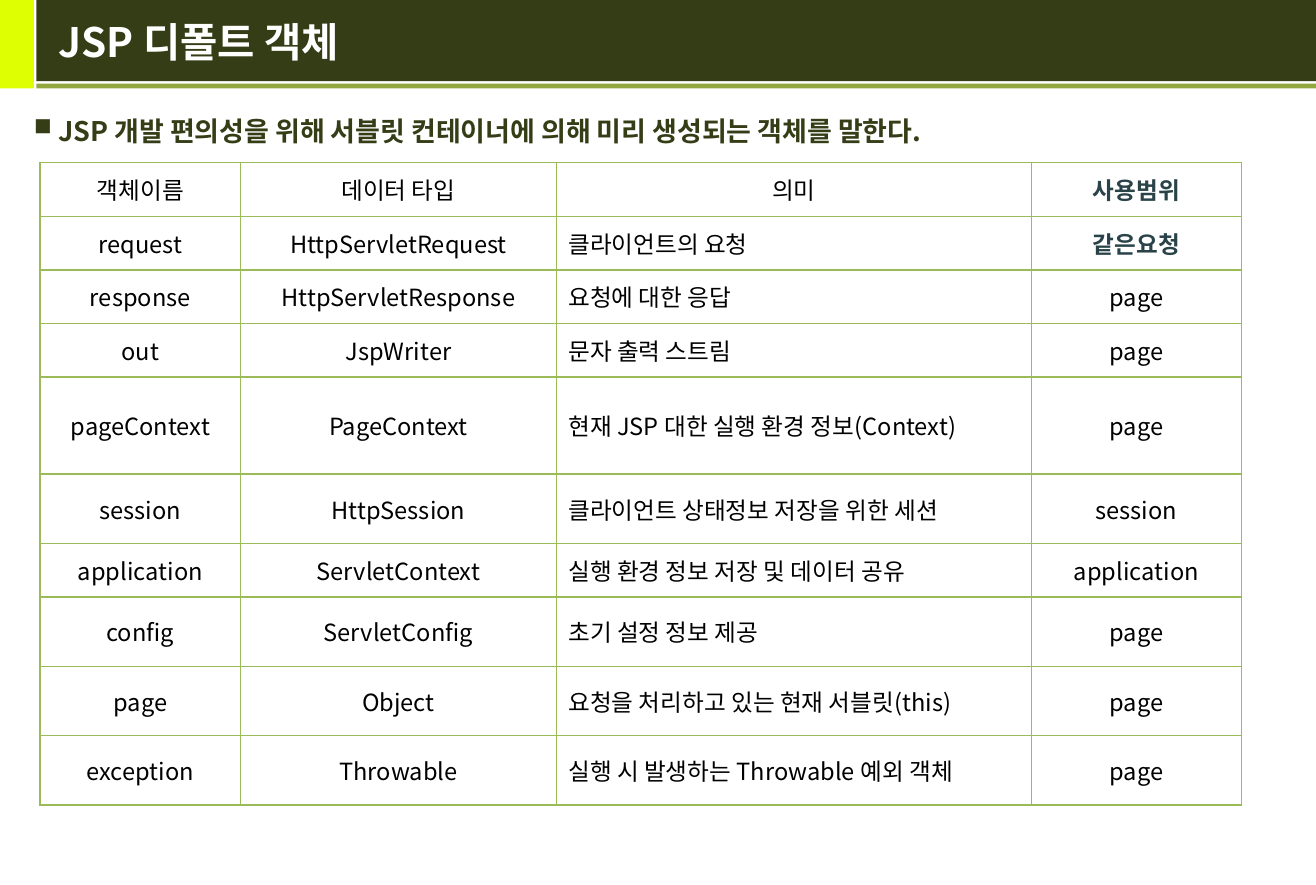
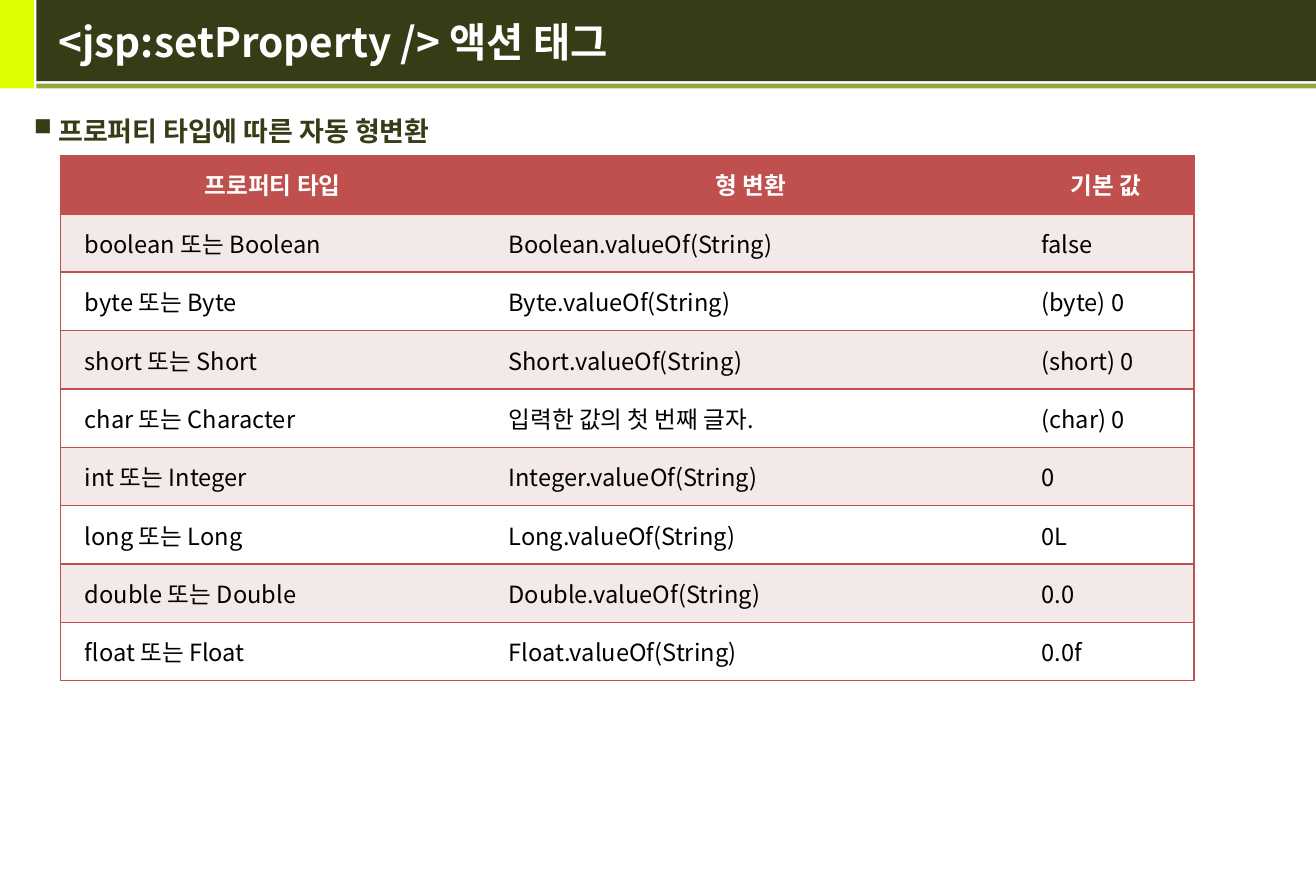
from lxml import etree
from pptx import Presentation
from pptx import util as u
from pptx.dml.color import RGBColor
from pptx.enum import shapes, text
from pptx.oxml.ns import qn

FONT = "Noto Sans CJK KR"
COLORS = {
    "lime": "DEFF02", "olive": "353D17", "moss": "93A73F", "green": "9BBB59",
    "red": "C0504D", "blush": "F4E9E9", "teal": "294349",
    "white": "FFFFFF", "black": "000000",
}
BANDS = [
    ("lime", 0, 0, 0.71, 1.85),
    ("olive", 0.76, 0, 26.75, 1.7),
    ("moss", 0.76, 1.75, 26.75, 0.1),
]
LEFT, CENTER, JUSTIFY = text.PP_ALIGN.LEFT, text.PP_ALIGN.CENTER, text.PP_ALIGN.JUSTIFY


def cm(*lengths):
    return [u.Cm(length) for length in lengths]


def rgb(color):
    return RGBColor.from_string(COLORS[color])


class Deck:
    def __init__(self):
        self.show = Presentation()
        self.show.slide_width, self.show.slide_height = cm(27.51, 18.5)
        self.slide = None

    def add_slide(self, title, statement):
        self.slide = self.show.slides.add_slide(self.show.slide_layouts[5])
        for band in BANDS:
            self.band(*band)
        self.title(title)
        self.bullet(statement)

    def band(self, color, *box):
        band = self.slide.shapes.add_shape(shapes.MSO_SHAPE.RECTANGLE, *cm(*box))
        band.shadow.inherit = False
        band.fill.solid()
        band.fill.fore_color.rgb = rgb(color)
        band.line.fill.background()

    def set_words(self, frame, words, size, color, bold=False, align=LEFT):
        frame.text = words
        paragraph = frame.paragraphs[0]
        paragraph.alignment = align
        font = paragraph.font
        font.name, font.size, font.bold = FONT, u.Pt(size), bold
        font.color.rgb = rgb(color)
        defaults = paragraph._p.pPr.find(qn("a:defRPr"))
        etree.SubElement(defaults, qn("a:ea"), typeface=FONT)
        return paragraph

    def title(self, words):
        title = self.slide.shapes.title
        title.element.getparent().append(title.element)
        title.left, title.top, title.width, title.height = cm(0.97, 0, 26.21, 1.73)
        title.text_frame.vertical_anchor = text.MSO_ANCHOR.MIDDLE
        self.set_words(title.text_frame, words, 24, "white", True)

    def bullet(self, words):
        statement = self.slide.shapes.add_textbox(*cm(0.46, 2.26, 26.59, 1.1))
        statement.text_frame.word_wrap = True
        paragraph = self.set_words(statement.text_frame, words, 16, "olive", True)
        props = paragraph._p.pPr
        props.set("marL", str(u.Cm(0.51)))
        props.set("indent", str(-u.Cm(0.51)))
        color = etree.Element(qn("a:buClr"))
        etree.SubElement(color, qn("a:srgbClr"), val=COLORS["olive"])
        size = etree.Element(qn("a:buSzPct"), val="90000")
        mark = etree.Element(qn("a:buChar"), char="■")
        for place, part in enumerate((color, size, mark)):
            props.insert(place, part)

    def table(self, left, top, widths, heights, rows, style):
        box = cm(left, top, sum(widths), sum(heights))
        table = self.slide.shapes.add_table(len(rows), len(widths), *box).table
        table.first_row = table.horz_banding = False
        for column, width in zip(table.columns, widths):
            column.width = u.Cm(width)
        for row, height in zip(table.rows, heights):
            row.height = u.Cm(height)
        for r, row in enumerate(rows):
            for c, words in enumerate(row):
                style(self, table.cell(r, c), words, r, c)

    def cell(self, cell, words, fill, inset, edges, line, **look):
        cell.vertical_anchor = text.MSO_ANCHOR.MIDDLE
        cell.margin_left = cell.margin_right = u.Cm(inset[0])
        cell.margin_top = cell.margin_bottom = u.Cm(inset[1])
        if fill:
            cell.fill.solid()
            cell.fill.fore_color.rgb = rgb(fill)
        else:
            cell.fill.background()
        self.set_words(cell.text_frame, words, 14, **look)
        props = cell._tc.get_or_add_tcPr()
        for place, edge in enumerate("LRTB"):
            border = etree.Element(qn(f"a:ln{edge}"), w=str(u.Pt(1)))
            if edge in edges:
                paint = etree.SubElement(border, qn("a:solidFill"))
                etree.SubElement(paint, qn("a:srgbClr"), val=COLORS[line])
            else:
                etree.SubElement(border, qn("a:noFill"))
            props.insert(place, border)


def object_cell(deck, cell, words, r, c):
    scope = c == 3 and r < 2
    deck.cell(cell, words, None, (0.25, 0.13), "LRTB", "green",
              color="teal" if scope else "black", bold=scope,
              align=LEFT if c == 2 and r else CENTER)


def conversion_cell(deck, cell, words, r, c):
    header = r == 0
    fill = "red" if header else ("white", "blush")[r % 2]
    edges = ("LTB", "TB", "RTB")[c]
    deck.cell(cell, words, fill, (0.5, 0.1), edges, "red",
              color="white" if header else "black", bold=header,
              align=CENTER if header else JUSTIFY)


DEFAULT_OBJECTS = [
    ("객체이름", "데이터 타입", "의미", "사용범위"),
    ("request", "HttpServletRequest", "클라이언트의 요청", "같은요청"),
    ("response", "HttpServletResponse", "요청에 대한 응답", "page"),
    ("out", "JspWriter", "문자 출력 스트림", "page"),
    ("pageContext", "PageContext", "현재 JSP 대한 실행 환경 정보(Context)", "page"),
    ("session", "HttpSession", "클라이언트 상태정보 저장을 위한 세션", "session"),
    ("application", "ServletContext", "실행 환경 정보 저장 및 데이터 공유", "application"),
    ("config", "ServletConfig", "초기 설정 정보 제공", "page"),
    ("page", "Object", "요청을 처리하고 있는 현재 서블릿(this)", "page"),
    ("exception", "Throwable", "실행 시 발생하는 Throwable 예외 객체", "page"),
]
CONVERSIONS = [
    ("프로퍼티 타입", "형 변환", "기본 값"),
    ("boolean 또는 Boolean", "Boolean.valueOf(String)", "false"),
    ("byte 또는 Byte", "Byte.valueOf(String)", "(byte) 0"),
    ("short 또는 Short", "Short.valueOf(String)", "(short) 0"),
    ("char 또는 Character", "입력한 값의 첫 번째 글자.", "(char) 0"),
    ("int 또는 Integer", "Integer.valueOf(String)", "0"),
    ("long 또는 Long", "Long.valueOf(String)", "0L"),
    ("double 또는 Double", "Double.valueOf(String)", "0.0"),
    ("float 또는 Float", "Float.valueOf(String)", "0.0f"),
]

deck = Deck()
deck.add_slide("JSP 디폴트 객체",
               "JSP 개발 편의성을 위해 서블릿 컨테이너에 의해 미리 생성되는 객체를 말한다.")
deck.table(0.84, 3.4, [4.19, 6.6, 9.93, 4.39],
           [1.12] * 4 + [2.03, 1.45, 1.12] + [1.45] * 3,
           DEFAULT_OBJECTS, object_cell)

deck.add_slide("<jsp:setProperty /> 액션 태그", "프로퍼티 타입에 따른 자동 형변환")
deck.table(1.27, 3.25, [8.86, 11.14, 3.69], [1.22] * len(CONVERSIONS),
           CONVERSIONS, conversion_cell)

deck.show.save("out.pptx")
